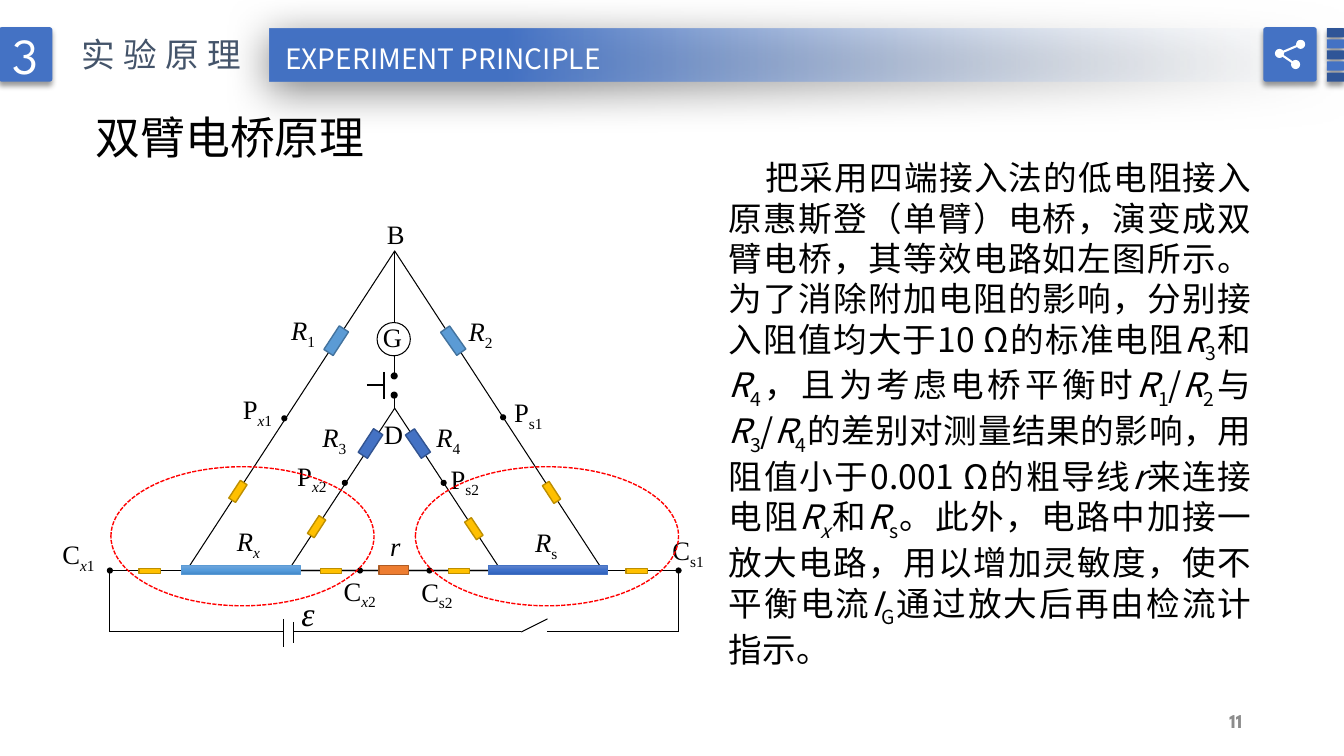
from lxml.etree import SubElement
from pptx import Presentation
from pptx.dml.color import RGBColor
from pptx.enum.dml import MSO_LINE
from pptx.enum.shapes import MSO_CONNECTOR, MSO_SHAPE
from pptx.enum.text import MSO_ANCHOR, PP_ALIGN
from pptx.oxml.ns import qn
from pptx.util import Emu, Pt

SCALE = 9144
SANS, SERIF, DISPLAY = "Noto Sans CJK SC", "Times New Roman", "League Spartan"
BLUE, NAVY, SKY, GOLD = "4472C4", "2F5597", "5B9BD5", "FFC000"
BLACK, WHITE = "000000", "FFFFFF"


def px(value):
    return Emu(int(value * SCALE))


def rgb(value):
    return RGBColor.from_string(value)


def add_color(parent, color, alpha=None):
    node = SubElement(parent, qn("a:srgbClr"), val=color)
    if alpha is not None:
        SubElement(node, qn("a:alpha"), val=str(alpha * 1000))


def add_gradient(shape, stops, angle):
    shape.fill.gradient()
    gradient = shape._element.spPr.find(qn("a:gradFill"))
    stop_list = gradient.find(qn("a:gsLst"))
    for stop in list(stop_list):
        stop_list.remove(stop)
    for position, *color in stops:
        stop = SubElement(stop_list, qn("a:gs"), pos=str(position * 1000))
        add_color(stop, *color)
    gradient.find(qn("a:lin")).set("ang", str(angle * 60000))


def add_shadow(shape, alpha, blur, distance, direction):
    effects = shape._element.spPr.find(qn("a:effectLst"))
    shadow = SubElement(effects, qn("a:outerShdw"), blurRad=str(Pt(blur)), dist=str(Pt(distance)),
                        dir=str(direction * 60000), algn="t", rotWithShape="0")
    add_color(shadow, BLACK, alpha)


def add_part(slide, kind, box, fill=None, line=None, width=0.75, rotation=0):
    part = slide.shapes.add_shape(kind, *map(px, box))
    part.shadow.inherit = False
    part.rotation = rotation
    if fill:
        part.fill.solid()
        part.fill.fore_color.rgb = rgb(fill)
    else:
        part.fill.background()
    if line:
        part.line.color.rgb = rgb(line)
        part.line.width = Pt(width)
    else:
        part.line.fill.background()
    return part


def add_tile(slide, box, fill):
    tile = add_part(slide, MSO_SHAPE.ROUNDED_RECTANGLE, box, fill)
    tile.adjustments[0] = 0.05
    add_shadow(tile, 40, 4, 3, 90)
    return tile


def add_wire(slide, x1, y1, x2, y2, color=BLACK, width=0.75):
    wire = slide.shapes.add_connector(MSO_CONNECTOR.STRAIGHT, *map(px, (x1, y1, x2, y2)))
    wire.line.color.rgb = rgb(color)
    wire.line.width = Pt(width)
    SubElement(wire._element.spPr, qn("a:effectLst"))


def add_dot(slide, x, y, size=5, color=BLACK):
    add_part(slide, MSO_SHAPE.OVAL, (x - size / 2, y - size / 2, size, size), color, color)


def write_runs(frame, pieces, size, font, color=BLACK, align=PP_ALIGN.LEFT):
    paragraph = frame.paragraphs[0]
    paragraph.alignment = align
    for text, style in pieces:
        run = paragraph.add_run()
        run.text = text
        run.font.size = Pt(size)
        run.font.name = font
        run.font.color.rgb = rgb(color)
        run.font.italic = "i" in style
        run.font.bold = "b" in style
        properties = run._r.get_or_add_rPr()
        SubElement(properties, qn("a:ea"), typeface=font)
        if "s" in style:
            properties.set("baseline", "-25000")
        if "w" in style:
            properties.set("spc", "600")
    return paragraph


def add_text(slide, box, pieces, size, font, color=BLACK, align=PP_ALIGN.LEFT, wrap=True):
    frame = slide.shapes.add_textbox(*map(px, box)).text_frame
    frame.word_wrap = wrap
    write_runs(frame, pieces, size, font, color, align)
    return frame


def add_header(slide):
    banner = add_part(slide, MSO_SHAPE.RECTANGLE, (267, 28, 1067, 53), BLUE)
    add_gradient(banner, [(0, "F7FAFD", 0), (78, BLUE)], 180)
    add_shadow(banner, 50, 31, 6, 97)
    chapter = add_tile(slide, (-1, 27, 53, 54), BLUE)
    chapter.text_frame.vertical_anchor = MSO_ANCHOR.MIDDLE
    write_runs(chapter.text_frame, [("3", "")], 36, DISPLAY, WHITE, PP_ALIGN.CENTER)
    add_text(slide, (71, 29, 188, 50), [("实验原理", "w")], 24, SANS, "44546A", wrap=False)
    add_text(slide, (268, 36, 343, 44), [("EXPERIMENT PRINCIPLE", "")], 20, SANS, WHITE,
             PP_ALIGN.CENTER, False)
    for row in range(5):
        add_tile(slide, (1316, 28 + 11 * row, 17, 9), BLUE if row % 2 else NAVY)
    add_tile(slide, (1253, 27, 53, 54), BLUE)
    top, hub, bottom = (1290, 44), (1269, 53), (1285, 64)
    for node in (top, bottom):
        add_wire(slide, *hub, *node, WHITE, 1.5)
    for node in (top, hub, bottom):
        add_dot(slide, *node, 8, WHITE)


def add_wires(slide):
    for triangle in ((286, 405, 211, 161), (185, 249, 413, 317)):
        add_part(slide, MSO_SHAPE.ISOSCELES_TRIANGLE, triangle, line=BLACK)
    for wire in ((391, 249, 391, 405), (291, 627, 517, 627), (180, 566, 109, 566),
                 (673, 566, 603, 566), (109, 566, 109, 627), (673, 566, 673, 627),
                 (109, 627, 281, 627), (281, 614, 281, 642), (291, 617, 291, 638),
                 (673, 627, 543, 627), (517, 627, 543, 614)):
        add_wire(slide, *wire)
    add_part(slide, MSO_SHAPE.OVAL, (374, 320, 33, 33), WHITE, BLACK)


def add_resistors(slide):
    for box, fill, edge, rotation in (
            ((444, 324, 11, 28), SKY, "43739E", 324.9),
            ((328, 324, 11, 28), SKY, "43739E", 33.1),
            ((362, 426, 11, 28), BLUE, "325491", 33.1),
            ((409, 426, 11, 28), BLUE, "325491", 325.6),
            ((376, 561, 29, 9), "ED7D31", "AF5C24", 0)):
        add_part(slide, MSO_SHAPE.RECTANGLE, box, fill, edge, 1, rotation)
    for left, edge, colors in ((180, SKY, ("71A6DB", "559BDB", "448ACA")),
                               (484, BLUE, ("6183CB", "3E70CA", "3062BB"))):
        bar = add_part(slide, MSO_SHAPE.RECTANGLE, (left, 561, 118, 9), edge, edge, 0.5)
        add_gradient(bar, list(zip((0, 50, 100), colors)), 90)
    for left, top, rotation in ((543, 478, 326.9), (466, 514, 326.2),
                                (232, 477, 33.1), (310, 512, 33.1)):
        add_part(slide, MSO_SHAPE.RECTANGLE, (left, top, 8, 21), GOLD, "BD8E00", 1, rotation)
    for left in (138, 318, 445, 621):
        add_part(slide, MSO_SHAPE.RECTANGLE, (left, 564, 21, 5), GOLD, "BD8E00", 1)


def add_switch(slide):
    add_part(slide, MSO_SHAPE.RECTANGLE, (383, 375, 16, 14), WHITE)
    for y in (373, 392):
        add_dot(slide, 391, y, 6)
    add_wire(slide, 381, 369, 381, 396, width=1.5)
    add_wire(slide, 364, 382, 381, 382, width=1.5)


def add_labels(slide):
    for left, top, width, *pieces in (
            (370, 313, 33, ("G", "")),
            (374, 211, 33, ("B", "")),
            (371, 410, 33, ("D", "")),
            (377, 521, 33, ("r", "i")),
            (310, 413, 56, ("R", "i"), ("3", "s")),
            (455, 308, 67, ("R", "i"), ("2", "s")),
            (279, 307, 52, ("R", "i"), ("1", "s")),
            (423, 413, 57, ("R", "i"), ("4", "s")),
            (225, 516, 55, ("R", "i"), ("x", "is")),
            (521, 517, 48, ("R", "i"), ("s", "s")),
            (285, 451, 63, ("P", ""), ("x", "is"), ("2", "s")),
            (231, 385, 76, ("P", ""), ("x", "is"), ("1", "s")),
            (500, 388, 85, ("P", ""), ("s1", "s")),
            (437, 454, 68, ("P", ""), ("s2", "s")),
            (52, 529, 65, ("C", ""), ("x", "is"), ("1", "s")),
            (657, 525, 73, ("C", ""), ("s1", "s")),
            (331, 565, 69, ("C", ""), ("x", "is"), ("2", "s")),
            (408, 566, 69, ("C", ""), ("s2", "s"))):
        add_text(slide, (left, top, width, 44), pieces, 19, SERIF)
    add_text(slide, (289, 583, 33, 53), [("ε", "i")], 24, SERIF)


def add_circuit(slide):
    add_wires(slide)
    add_resistors(slide)
    for terminal in ((109, 566), (282, 415), (342, 479), (357, 566),
                     (426, 566), (440, 479), (499, 414), (673, 566)):
        add_dot(slide, *terminal)
    add_labels(slide)
    add_switch(slide)
    for left in (110, 412):
        region = add_part(slide, MSO_SHAPE.OVAL, (left, 463, 261, 138), line="FF0000", width=1)
        region.line.dash_style = MSO_LINE.SQUARE_DOT


def add_explanation(slide):
    r1, r2, r3, r4 = ([("R", "i"), (digit, "s")] for digit in "1234")
    slash = ("/", "")
    pieces = [
        ("把采用四端接入法的低电阻接入原惠斯登（单臂）电桥，演变成双臂电桥，其等效电路如左图所示。"
         "为了消除附加电阻的影响，分别接入阻值均大于10 Ω的标准电阻", ""),
        *r3, ("和", ""), *r4, ("，且为考虑电桥平衡时", ""), *r1, slash, *r2,
        ("与", ""), *r3, slash, *r4,
        ("的差别对测量结果的影响，用阻值小于0.001 Ω的粗导线", ""), ("r", "i"),
        ("来连接电阻", ""), ("R", "i"), ("x", "is"), ("和", ""), ("R", "i"), ("s", "s"),
        ("。此外，电路中加接一放大电路，用以增加灵敏度，使不平衡电流", ""),
        ("I", "i"), ("G", "s"), ("通过放大后再由检流计指示。", "")]
    frame = add_text(slide, (713, 151, 538, 535), pieces, 24, SANS, align=PP_ALIGN.JUSTIFY)
    frame.paragraphs[0]._p.get_or_add_pPr().set("indent", str(px(36)))


def main():
    presentation = Presentation()
    presentation.slide_width, presentation.slide_height = px(1333), px(750)
    slide = presentation.slides.add_slide(presentation.slide_layouts[6])
    add_header(slide)
    page = add_text(slide, (942, 695, 300, 40), [("11", "b")], 14, DISPLAY, "8C8C8C",
                    PP_ALIGN.RIGHT)
    page.vertical_anchor = MSO_ANCHOR.MIDDLE
    add_text(slide, (85, 104, 289, 64), [("双臂电桥原理", "")], 32, SANS, wrap=False)
    add_circuit(slide)
    add_explanation(slide)
    presentation.save("out.pptx")


if __name__ == "__main__":
    main()
